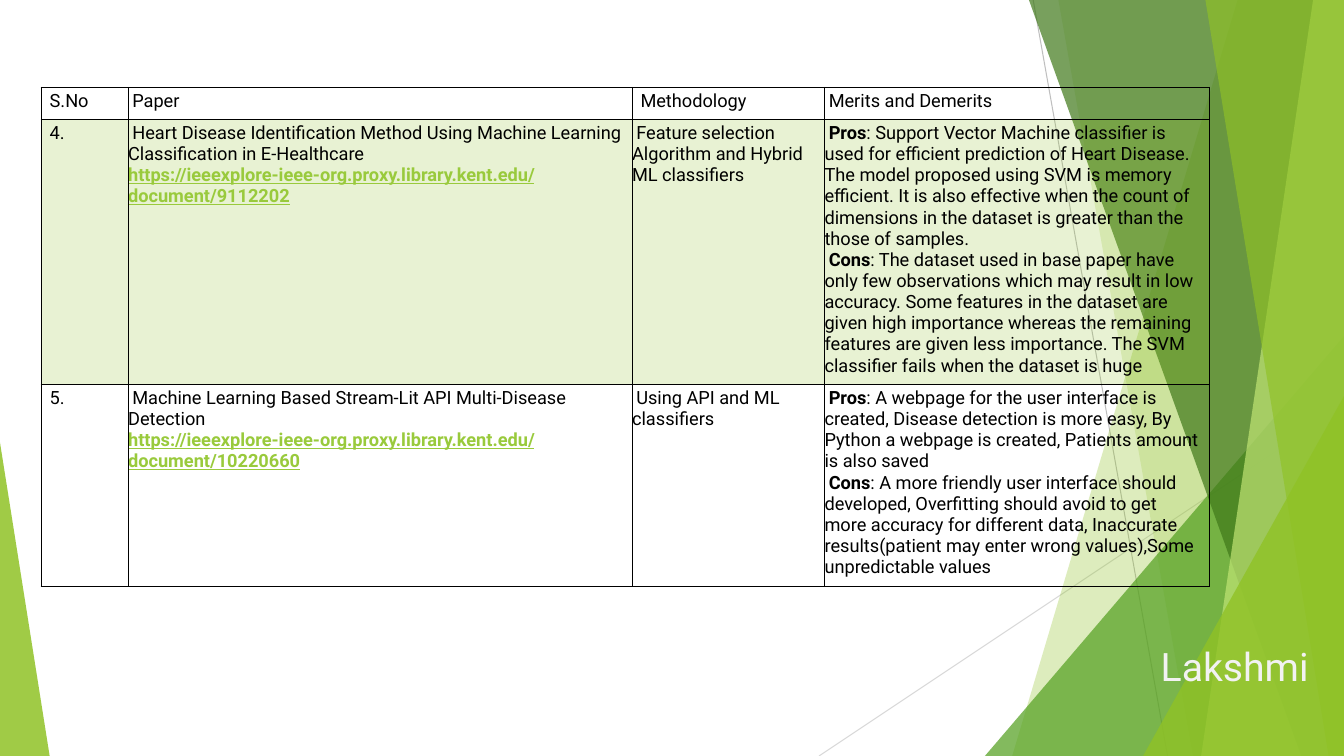
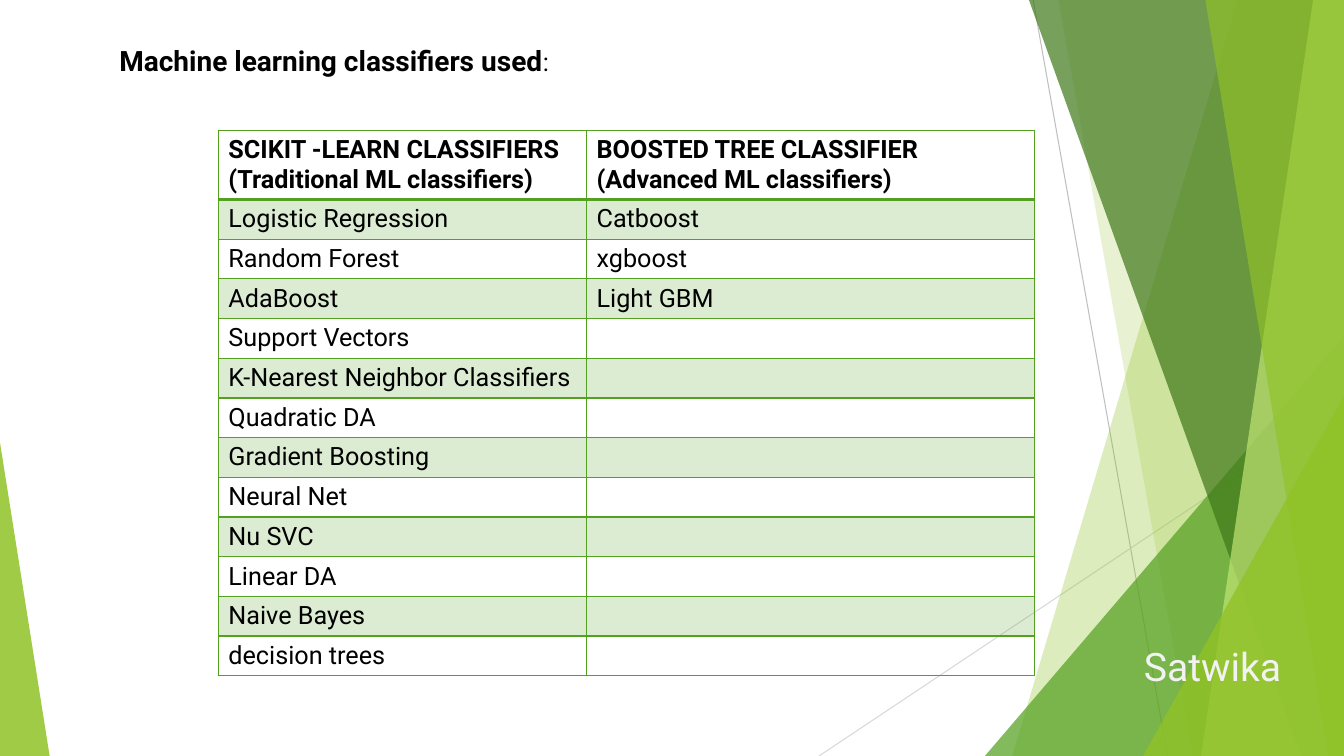
import dataclasses

import lxml.etree
import pptx
import pptx.dml.color
import pptx.enum.shapes
import pptx.enum.text
import pptx.oxml.ns
import pptx.util

Pt = pptx.util.Pt
qn = pptx.oxml.ns.qn

WIDTH, HEIGHT = 960, 540
BLACK, PALE = "000000", "F2F2F2"
LIME, GREEN, FOREST, MINT, LINK = "90C226", "54A021", "3F7819", "C0E474", "99CA3C"


@dataclasses.dataclass
class Line:
    text: str
    lead: str = ""
    indent: float = 0
    link: bool = False


def color(hex_code):
    return pptx.dml.color.RGBColor.from_string(hex_code)


def set_opacity(element, percent):
    for tint in element.iter(qn("a:srgbClr")):
        lxml.etree.SubElement(tint, qn("a:alpha"), val=str(percent * 1000))


class Deck:
    font = "Roboto"

    def __init__(self):
        self.presentation = pptx.Presentation()
        self.presentation.slide_width = Pt(WIDTH)
        self.presentation.slide_height = Pt(HEIGHT)
        self.slide = None

    def new_slide(self, layout_name):
        layout = self.presentation.slide_layouts.get_by_name(layout_name)
        self.slide = self.presentation.slides.add_slide(layout)

    def style(self, font, size, ink=BLACK, bold=False):
        font.name = self.font
        font.size = Pt(size)
        font.bold = bold
        font.color.rgb = color(ink)

    def tint(self, shape, hex_code, opacity):
        shape.shadow.inherit = False
        shape.line.fill.background()
        shape.fill.solid()
        shape.fill.fore_color.rgb = color(hex_code)
        set_opacity(shape.element.spPr, opacity)

    def ray(self, shapes, start, end, hex_code):
        ray = shapes.add_connector(
            pptx.enum.shapes.MSO_CONNECTOR.STRAIGHT, *map(Pt, start + end))
        ray.line.color.rgb = color(hex_code)
        ray.line.width = Pt(0.75)
        lxml.etree.SubElement(ray.element.spPr, qn("a:effectLst"))

    def facet(self, shapes, top_x, bottom_x, hex_code, opacity):
        outline = shapes.build_freeform(Pt(top_x), Pt(0))
        corners = [(WIDTH, 0), (WIDTH, HEIGHT), (bottom_x, HEIGHT)]
        outline.add_line_segments([(Pt(x), Pt(y)) for x, y in corners])
        self.tint(outline.convert_to_shape(), hex_code, opacity)

    def corner(self, shapes, left, top, right, apex, hex_code, opacity):
        corner = shapes.add_shape(
            pptx.enum.shapes.MSO_SHAPE.ISOSCELES_TRIANGLE,
            Pt(left), Pt(top), Pt(right - left), Pt(HEIGHT - top))
        corner.adjustments[0] = apex
        self.tint(corner, hex_code, opacity)

    def move_to_master(self, group):
        for number, label in enumerate(group.element.xpath(".//p:cNvPr"), 20):
            label.set("id", str(number))
        self.presentation.slide_master.shapes.element.insert(2, group.element)

    def backdrop(self):
        group = self.slide.shapes.add_group_shape()
        shapes = group.shapes
        self.ray(shapes, (738, 0), (834, HEIGHT), "BFBFBF")
        self.ray(shapes, (WIDTH, 290), (585, HEIGHT), "D9D9D9")
        self.facet(shapes, 884, 723, LIME, 30)
        self.facet(shapes, 756, 852, LIME, 20)
        self.corner(shapes, 703.5, 240, WIDTH, 1, GREEN, 72)
        self.facet(shapes, 735, 929.5, FOREST, 70)
        self.facet(shapes, 938, 858, MINT, 70)
        self.facet(shapes, 861, 949, LIME, 65)
        self.corner(shapes, 816.5, 283, WIDTH, 1, LIME, 80)
        self.corner(shapes, 0, 316, 35.5, 0, LIME, 85)
        self.move_to_master(group)

    def title(self, heading, ending):
        title = self.slide.shapes.title
        title.left, title.top, title.width, title.height = map(Pt, (78, 27.5, 740, 31.5))
        frame = title.text_frame
        frame.auto_size = pptx.enum.text.MSO_AUTO_SIZE.NONE
        frame.vertical_anchor = pptx.enum.text.MSO_ANCHOR.TOP
        paragraph = frame.paragraphs[0]
        paragraph.alignment = pptx.enum.text.PP_ALIGN.LEFT
        for text, size, bold in ((heading, 20, True), (ending, 18, False)):
            run = paragraph.add_run()
            run.text = text
            self.style(run.font, size, bold=bold)

    def presenter(self, name, left):
        box = self.slide.shapes.add_textbox(Pt(left), Pt(455), Pt(943 - left), Pt(41))
        box.text_frame.word_wrap = True
        paragraph = box.text_frame.paragraphs[0]
        paragraph.text = name
        self.style(paragraph.font, 28, PALE)

    def border(self, cell, hex_code, bottom):
        properties = cell._tc.get_or_add_tcPr()
        for side, width in (("L", 1), ("R", 1), ("T", 1), ("B", bottom)):
            edge = lxml.etree.SubElement(properties, qn("a:ln" + side), w=str(Pt(width)))
            solid = lxml.etree.SubElement(edge, qn("a:solidFill"))
            lxml.etree.SubElement(solid, qn("a:srgbClr"), val=hex_code)

    def cell_text(self, cell, lines, size, bold):
        frame = cell.text_frame
        for index, line in enumerate(lines):
            paragraph = frame.add_paragraph() if index else frame.paragraphs[0]
            if line.indent:
                paragraph._p.get_or_add_pPr().set("indent", str(Pt(line.indent)))
            if line.lead:
                lead = paragraph.add_run()
                lead.text = line.lead
                lead.font.bold = True
            if line.text:
                paragraph.add_run().text = line.text
            self.style(paragraph.font, size, LINK if line.link else BLACK, bold or line.link)
            if line.link:
                paragraph.font.underline = True

    def table(self, left, top, widths, heights, rows, size, rule, band,
              header_bold=False, header_rule=1, margins=None, header_anchor=None):
        grid = self.slide.shapes.add_table(
            len(rows), len(widths), Pt(left), Pt(top), Pt(sum(widths)), Pt(sum(heights))).table
        grid.horz_banding = False
        for column, width in zip(grid.columns, widths):
            column.width = Pt(width)
        for index, (row, height, contents) in enumerate(zip(grid.rows, heights, rows)):
            row.height = Pt(height)
            header = index == 0
            for cell, lines in zip(row.cells, contents):
                if margins:
                    (cell.margin_left, cell.margin_top,
                     cell.margin_right, cell.margin_bottom) = map(Pt, margins)
                if header and header_anchor:
                    cell.vertical_anchor = header_anchor
                self.border(cell, rule, header_rule if header else 1)
                if index % 2:
                    cell.fill.solid()
                    cell.fill.fore_color.rgb = color(band)
                    set_opacity(cell._tc.tcPr.find(qn("a:solidFill")), 20)
                else:
                    cell.fill.background()
                self.cell_text(cell, lines, size, header and header_bold)


def papers_slide(deck):
    library = "https://ieeexplore-ieee-org.proxy.library.kent.edu/document/"
    papers = [
        [[Line("S.No", indent=6)], [Line("Paper", indent=3)],
         [Line("Methodology", indent=6)], [Line("Merits and Demerits", indent=3)]],
        [[Line("4.", indent=6)],
         [Line("Heart Disease Identification Method Using Machine Learning "
               "Classification in E-Healthcare", indent=3),
          Line(library + "9112202", link=True)],
         [Line("Feature selection", indent=3), Line("Algorithm and Hybrid ML classifiers")],
         [Line(": Support Vector Machine classifier is used for efficient prediction of "
               "Heart Disease. The model proposed using SVM is memory efficient. It is also "
               "effective when the count of dimensions in the dataset is greater than the "
               "those of samples.", "Pros", 3),
          Line(": The dataset used in base paper have only few observations which may result "
               "in low accuracy. Some features in the dataset are given high importance "
               "whereas the remaining features are given less importance. The SVM classifier "
               "fails when the dataset is huge", "Cons", 3)]],
        [[Line("5.", indent=6)],
         [Line("Machine Learning Based Stream-Lit API Multi-Disease Detection", indent=3),
          Line(library + "10220660", link=True)],
         [Line("Using API and ML classifiers", indent=3)],
         [Line(": A webpage for the user interface is created, Disease detection is more "
               "easy, By Python a webpage is created, Patients amount is also saved",
               "Pros", 3),
          Line(": A more friendly user interface should developed, Overfitting should avoid "
               "to get more accuracy for different data, Inaccurate results(patient may enter "
               "wrong values),Some unpredictable values", "Cons", 3)]],
    ]
    deck.new_slide("Blank")
    deck.backdrop()
    deck.table(29.5, 62.5, [62, 360, 137.5, 275], [22.5, 188.5, 144], papers, 13, BLACK, LIME,
               margins=(0, 2, 6, 6), header_anchor=pptx.enum.text.MSO_ANCHOR.BOTTOM)
    deck.presenter("Lakshmi", 822)


def classifiers_slide(deck):
    traditional = ["Logistic Regression", "Random Forest", "AdaBoost", "Support Vectors",
                   "K-Nearest Neighbor Classifiers", "Quadratic DA", "Gradient Boosting",
                   "Neural Net", "Nu SVC", "Linear DA", "Naive Bayes", "decision trees"]
    boosted = ["Catboost", "xgboost", "Light GBM"]
    boosted += [""] * (len(traditional) - len(boosted))
    classifiers = [[[Line("SCIKIT -LEARN CLASSIFIERS"), Line("(Traditional ML classifiers)")],
                    [Line("BOOSTED TREE CLASSIFIER"), Line("(Advanced ML classifiers)")]]]
    classifiers += [[[Line(name)] for name in pair] for pair in zip(traditional, boosted)]
    deck.new_slide("Title Only")
    deck.title("Machine learning classifiers used", ":")
    deck.table(156, 93, [263, 320], [49.5] + [28.3] * len(traditional), classifiers, 18,
               GREEN, GREEN, header_bold=True, header_rule=2)
    deck.presenter("Satwika", 810)


def main():
    deck = Deck()
    papers_slide(deck)
    classifiers_slide(deck)
    deck.presentation.save("out.pptx")


if __name__ == "__main__":
    main()
